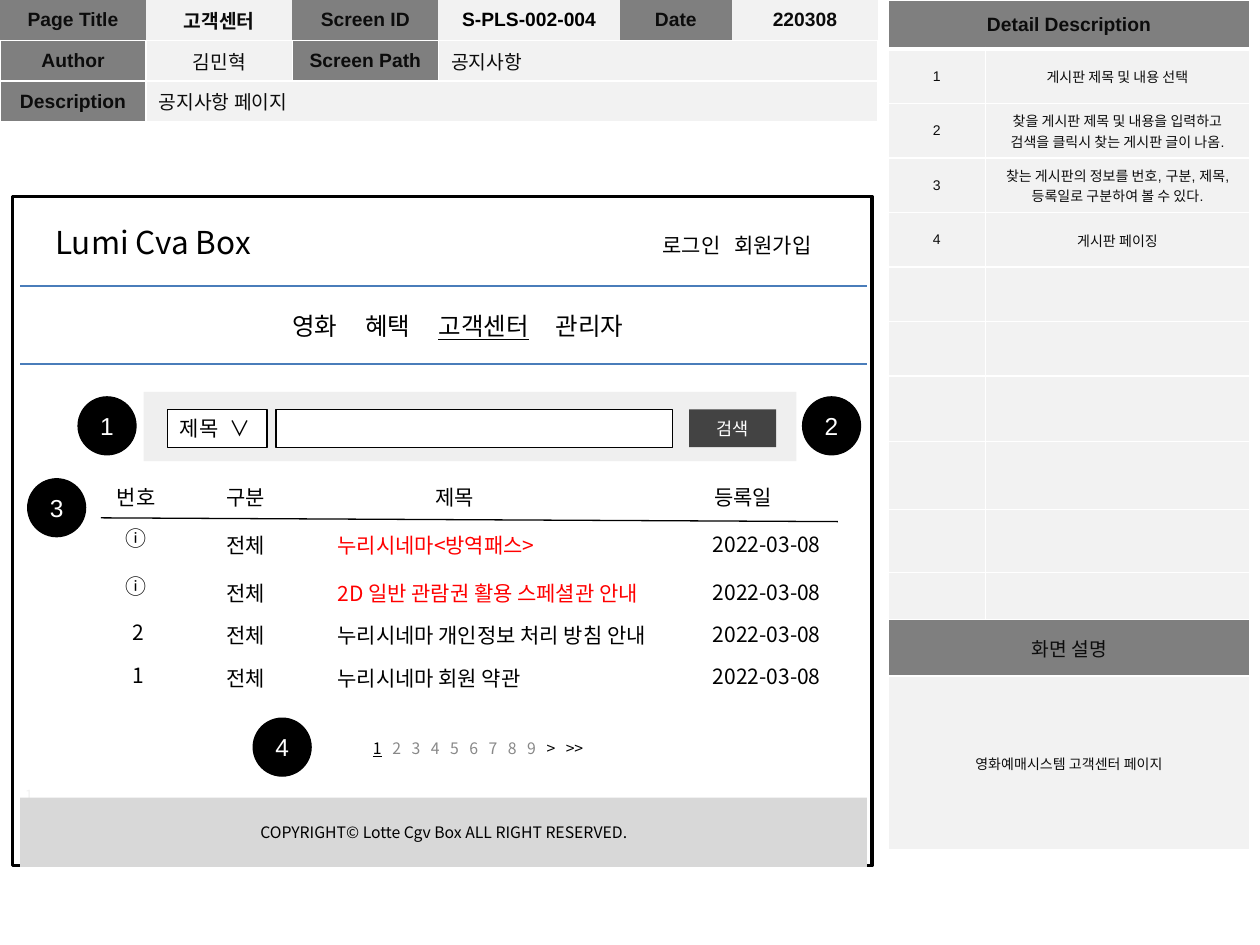
from dataclasses import dataclass
from typing import Optional

from lxml.etree import SubElement
from pptx import Presentation
from pptx.dml.color import RGBColor
from pptx.enum.shapes import MSO_CONNECTOR, MSO_SHAPE
from pptx.enum.text import MSO_ANCHOR, MSO_AUTO_SIZE, PP_ALIGN
from pptx.oxml.ns import qn
from pptx.util import Inches, Pt

UNIT = 0.1  # the slide is a grid of 100 columns by 75 rows
NO_STYLE = "{2D5ABB26-0587-4C30-8999-92F81FD0307C}"


@dataclass(frozen=True)
class Theme:
    sans: str = "Arial"
    korean: str = "Noto Sans CJK KR"
    black: str = "000000"
    ink: str = "0C0C0C"
    white: str = "FFFFFF"
    red: str = "FF0000"
    rule: str = "4A7DBA"
    label: str = "7F7F7F"
    value: str = "F2F2F2"
    search: str = "EFEFEF"
    footer: str = "D8D8D8"
    button: str = "434343"
    muted: str = "888888"
    logo: int = 18
    nav: int = 14
    body: int = 12
    heading: int = 11
    action: int = 10
    small: int = 9
    note: int = 8


THEME = Theme()


@dataclass(frozen=True)
class Box:
    col: float
    row: float
    cols: float
    rows: float

    def lengths(self) -> list:
        return [grid(n) for n in (self.col, self.row, self.cols, self.rows)]


@dataclass(frozen=True)
class Style:
    size: int = THEME.body
    colour: str = THEME.black
    font: str = THEME.korean
    bold: bool = False
    align: PP_ALIGN = PP_ALIGN.LEFT


@dataclass(frozen=True)
class Entry:
    text: str
    style: Style
    fill: str = THEME.value
    span: int = 1


@dataclass(frozen=True)
class Notice:
    row: float
    number: str
    title: str
    pinned: bool = False


def grid(count: float) -> int:
    return Inches(count * UNIT)


def rgb(colour: str) -> RGBColor:
    return RGBColor.from_string(colour)


def style_paragraph(paragraph, style: Style) -> None:
    paragraph.alignment = style.align
    font = paragraph.font
    font.size, font.bold, font.name = Pt(style.size), style.bold, style.font
    font.color.rgb = rgb(style.colour)
    SubElement(font._element, qn("a:ea"), typeface=THEME.korean)


def fill_frame(frame, text: str, style: Style, tabs=(), anchor=MSO_ANCHOR.TOP) -> None:
    frame.word_wrap = True
    frame.auto_size = MSO_AUTO_SIZE.NONE
    frame.vertical_anchor = anchor
    paragraph = frame.paragraphs[0]
    paragraph.text = text
    if tabs:
        stops = SubElement(paragraph._p.get_or_add_pPr(), qn("a:tabLst"))
        for tab in tabs:
            SubElement(stops, qn("a:tab"), pos=str(grid(tab)), algn="l")
    style_paragraph(paragraph, style)


def add_label(slide, box: Box, text: str, style: Style = Style(), tabs=(), inset=1.0):
    frame = slide.shapes.add_textbox(*box.lengths()).text_frame
    frame.margin_left = grid(inset)
    fill_frame(frame, text, style, tabs)
    return frame.paragraphs[0]


def add_panel(slide, box: Box, fill: Optional[str] = None, line: Optional[str] = None,
              width: float = 0.75, kind=MSO_SHAPE.RECTANGLE):
    panel = slide.shapes.add_shape(kind, *box.lengths())
    panel.shadow.inherit = False
    if fill:
        panel.fill.solid()
        panel.fill.fore_color.rgb = rgb(fill)
    else:
        panel.fill.background()
    if line:
        panel.line.color.rgb = rgb(line)
        panel.line.width = Pt(width)
    else:
        panel.line.fill.background()
    return panel


def add_rule(slide, left: float, top: float, right: float, bottom: float, colour: str) -> None:
    rule = slide.shapes.add_connector(MSO_CONNECTOR.STRAIGHT, *map(grid, (left, top, right, bottom)))
    rule.line.color.rgb = rgb(colour)
    rule.line.width = Pt(0.75)
    SubElement(rule._element.spPr, qn("a:effectLst"))


def add_marker(slide, number: str, col: float, row: float) -> None:
    marker = add_panel(slide, Box(col, row, 4.6, 4.6), THEME.black, THEME.black, kind=MSO_SHAPE.OVAL)
    style = Style(THEME.nav, THEME.white, THEME.sans, align=PP_ALIGN.CENTER)
    fill_frame(marker.text_frame, number, style, anchor=MSO_ANCHOR.MIDDLE)


def border_cell(cell, widths: dict) -> None:
    for side, width in widths.items():
        line = SubElement(cell._tc.get_or_add_tcPr(), qn(f"a:ln{side}"), w=str(Pt(width)))
        SubElement(SubElement(line, qn("a:solidFill")), qn("a:srgbClr"), val=THEME.white)


def add_grid_table(slide, col: float, widths, heights, rows, first_borders: dict) -> None:
    box = Box(col, 0, sum(widths), sum(heights))
    table = slide.shapes.add_table(len(heights), len(widths), *box.lengths()).table
    table.first_row = table.horz_banding = False
    table._tbl.tblPr.find(qn("a:tableStyleId")).text = NO_STYLE
    for column, width in zip(table.columns, widths):
        column.width = grid(width)
    for r, (height, entries) in enumerate(zip(heights, rows)):
        table.rows[r].height = grid(height)
        c = 0
        for entry in entries:
            for covered in range(c, c + entry.span):
                border_cell(table.cell(r, covered), dict.fromkeys("LRTB", 1) if r else first_borders)
            cell = table.cell(r, c)
            if entry.span > 1:
                cell.merge(table.cell(r, c + entry.span - 1))
            cell.fill.solid()
            cell.fill.fore_color.rgb = rgb(entry.fill)
            cell.vertical_anchor = MSO_ANCHOR.MIDDLE
            if entry.text:
                cell.text = entry.text
            else:
                cell.margin_top = cell.margin_bottom = 0
            style_paragraph(cell.text_frame.paragraphs[0], entry.style)
            c += entry.span


def add_page_header(slide) -> None:
    bold = Style(THEME.heading, THEME.ink, THEME.sans, True, PP_ALIGN.CENTER)
    plain = Style(THEME.heading, THEME.ink, THEME.sans, align=PP_ALIGN.CENTER)
    left = Style(THEME.heading, THEME.ink, THEME.sans)
    code = Style(THEME.heading, THEME.black, THEME.sans, True, PP_ALIGN.CENTER)

    def label(text: str) -> Entry:
        return Entry(text, bold, THEME.label)

    rows = [
        [label("Page Title"), Entry("고객센터", bold), label("Screen ID"),
         Entry("S-PLS-002-004", code), label("Date"), Entry("220308", bold)],
        [label("Author"), Entry("김민혁", plain), label("Screen Path"), Entry("공지사항", left, span=3)],
        [label("Description"), Entry("공지사항 페이지", left, span=5)],
    ]
    add_grid_table(slide, 0, [11.6, 11.6, 11.6, 14.4, 8.9, 11.6], [3.2] * 3, rows, {"B": 1})


def add_detail_table(slide) -> None:
    note = Style(THEME.note, THEME.ink, THEME.sans, align=PP_ALIGN.CENTER)
    heading = Style(THEME.heading, THEME.ink, THEME.sans, True, PP_ALIGN.CENTER)
    subheading = Style(THEME.heading, THEME.ink, THEME.sans, align=PP_ALIGN.CENTER)
    details = ["게시판 제목 및 내용 선택",
               "찾을 게시판 제목 및 내용을 입력하고 검색을 클릭시 찾는 게시판 글이 나옴.",
               "찾는 게시판의 정보를 번호, 구분, 제목, 등록일로 구분하여 볼 수 있다.",
               "게시판 페이징"]
    rows = [[Entry("Detail Description", heading, THEME.label, 2)]]
    rows += [[Entry(str(n), note), Entry(text, note)] for n, text in enumerate(details, 1)]
    rows += [[Entry("", note)] * 2] * 6
    rows += [[Entry("화면 설명", subheading, THEME.label, 2)],
             [Entry("영화예매시스템 고객센터 페이지", note, span=2)]]
    heights = [3.9] + [4.33] * 6 + [5.2, 5.4, 5, 3.7, 4.5, 13.8]
    add_grid_table(slide, 70.5, [7.7, 21], heights, rows, {"L": 1, "R": 1, "T": 1, "B": 3})


def add_site_header(slide) -> None:
    logo = slide.shapes.title
    logo.left, logo.top, logo.width, logo.height = Box(3.1, 17.2, 18.1, 4).lengths()
    fill_frame(logo.text_frame, "Lumi Cva Box", Style(THEME.logo, align=PP_ALIGN.CENTER))
    add_label(slide, Box(51.6, 18, 15.6, 3), "로그인\t회원가입", tabs=[5.7])
    for row in (22.7, 28.9):
        add_rule(slide, 1.6, row, 68.8, row, THEME.rule)
    menu = add_label(slide, Box(19.5, 24.2, 33.9, 3.4), "", Style(THEME.nav), [5.8, 11.6, 20.9], 3.7)
    for text in ("영화\t혜택\t", "고객센터", "\t관리자"):
        item = menu.add_run()
        item.text = text
        item.font.underline = text == "고객센터"


def add_search_bar(slide) -> None:
    add_panel(slide, Box(11.4, 31.1, 51.8, 5.5), THEME.search)
    add_panel(slide, Box(21.9, 32.5, 31.5, 3), THEME.white, THEME.black)
    field = add_panel(slide, Box(13.3, 32.5, 7.9, 3), THEME.white, THEME.black)
    fill_frame(field.text_frame, "제목\t∨", Style(), [3.9])
    button = add_panel(slide, Box(54.7, 32.5, 6.9, 3), THEME.button)
    style = Style(THEME.action, THEME.white, align=PP_ALIGN.CENTER)
    fill_frame(button.text_frame, "검색", style, anchor=MSO_ANCHOR.MIDDLE)


def add_notice_board(slide) -> None:
    for text, col, cols in (("번호", 8.3, 5.6), ("구분", 17, 5.6), ("제목", 33.6, 5.6), ("등록일", 55.7, 7.3)):
        add_label(slide, Box(col, 38, cols, 3), text)
    add_rule(slide, 8, 41.1, 66.5, 41.4, THEME.black)
    notices = [Notice(41.8, "ⓘ", "누리시네마<방역패스>", True),
               Notice(45.6, "ⓘ", "2D 일반 관람권 활용 스페셜관 안내", True),
               Notice(48.9, "2", "누리시네마 개인정보 처리 방침 안내"),
               Notice(52.3, "1", "누리시네마 회원 약관")]
    for notice in notices:
        number = Style(align=PP_ALIGN.LEFT if notice.pinned else PP_ALIGN.CENTER)
        lift = 0.6 if notice.pinned else 0.2
        add_label(slide, Box(9, notice.row - lift, 4, 3), notice.number, number)
        add_label(slide, Box(17, notice.row, 5.6, 3), "전체")
        title = Style(colour=THEME.red if notice.pinned else THEME.black)
        add_label(slide, Box(25.8, notice.row, 29.9, 3), notice.title, title)
        add_label(slide, Box(55.6, notice.row - 0.1, 10.8, 3), "2022-03-08")


def add_pagination(slide) -> None:
    pages = [str(n) for n in range(1, 10)] + [">", ">>"]
    pitch = 15.3 / (len(pages) - 1)
    tabs = [pitch * n for n in range(1, len(pages))]
    pager = add_label(slide, Box(21.2, 58.1, 33.5, 2.5), "", Style(THEME.small), tabs, 8.4)
    for n, page in enumerate(pages):
        if n:
            pager.add_run().text = "\t"
        link = pager.add_run()
        link.text = page
        link.font.underline = n == 0
        link.font.color.rgb = rgb(THEME.muted if 0 < n < 9 else THEME.black)


def main() -> None:
    deck = Presentation()
    deck.slide_width, deck.slide_height = grid(100), grid(75)
    slide = deck.slides.add_slide(deck.slide_layouts[5])
    add_panel(slide, Box(1, 15.6, 68.2, 53.1), line=THEME.black, width=2)
    add_page_header(slide)
    add_detail_table(slide)
    add_label(slide, Box(1, 61.9, 2.6, 2.4), "1", Style(THEME.note, THEME.value, align=PP_ALIGN.CENTER))
    add_site_header(slide)
    footer = add_panel(slide, Box(1.6, 63.3, 67.2, 5.5), THEME.footer)
    fill_frame(footer.text_frame, "COPYRIGHT© Lotte Cgv Box ALL RIGHT RESERVED.",
               Style(THEME.small, align=PP_ALIGN.CENTER), anchor=MSO_ANCHOR.MIDDLE)
    add_search_bar(slide)
    add_notice_board(slide)
    add_pagination(slide)
    for number, col, row in (("1", 6.2, 31.5), ("2", 63.7, 31.5), ("3", 2.2, 38), ("4", 20.1, 57)):
        add_marker(slide, number, col, row)
    deck.save("out.pptx")


if __name__ == "__main__":
    main()
